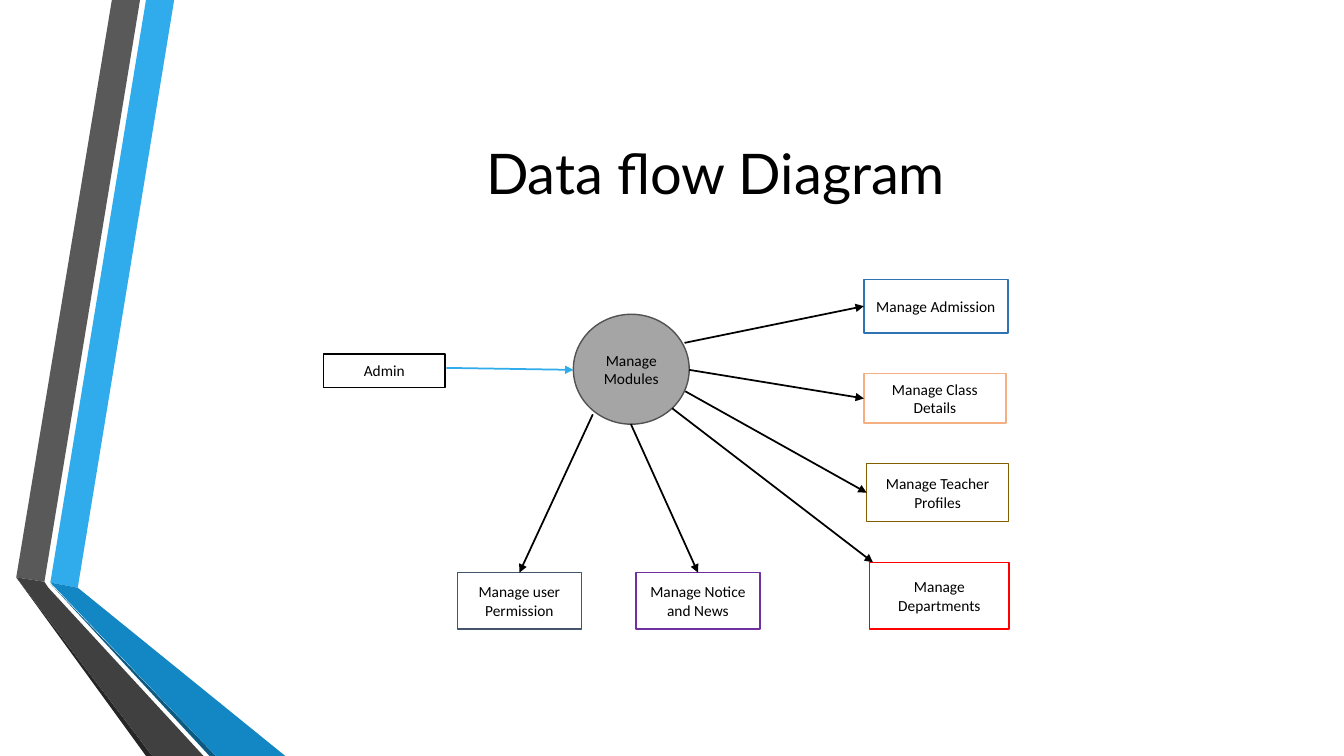
"""Build a data flow diagram slide with a folded ribbon on the left."""
from lxml.etree import SubElement
from pptx import Presentation
from pptx.dml.color import RGBColor
from pptx.enum.shapes import MSO_CONNECTOR, MSO_SHAPE
from pptx.enum.text import MSO_ANCHOR, PP_ALIGN
from pptx.oxml.ns import qn
from pptx.util import Cm, Pt

BLACK = RGBColor(0x00, 0x00, 0x00)
WHITE = RGBColor(0xFF, 0xFF, 0xFF)
SKY = RGBColor(0x30, 0xAC, 0xEC)
OCEAN = RGBColor(0x12, 0x87, 0xC3)
DEEP_BLUE = RGBColor(0x0C, 0x5A, 0x82)
GREY = RGBColor(0x59, 0x59, 0x59)
DARK_GREY = RGBColor(0x40, 0x40, 0x40)
CHARCOAL = RGBColor(0x26, 0x26, 0x26)
SILVER = RGBColor(0xA5, 0xA5, 0xA5)
RIM = RGBColor(0x52, 0x52, 0x52)
SLATE = RGBColor(0x44, 0x54, 0x6A)
PURPLE = RGBColor(0x70, 0x30, 0xA0)
PEACH = RGBColor(0xF4, 0xB0, 0x83)
OLIVE = RGBColor(0x7F, 0x5F, 0x00)
RED = RGBColor(0xFF, 0x00, 0x00)
BLUE = RGBColor(0x2E, 0x74, 0xB5)

TOP, LEFT = 0, 1
FOLD, BOTTOM = 14.55, 19.05


class Diagram:
    """Hold the style and the slide being drawn."""

    title_font, title_size = "Lato", Pt(40)
    label_font, label_size = "Calibri", Pt(11)
    outline, arrow_width = Pt(1), Pt(1.25)

    def __init__(self, slide):
        self.slide = slide

    def label(self, frame, text, font, size):
        frame.text = text
        frame.word_wrap = True
        frame.vertical_anchor = MSO_ANCHOR.MIDDLE
        for paragraph in frame.paragraphs:
            paragraph.alignment = PP_ALIGN.CENTER
            for run in paragraph.runs:
                run.font.name = font
                run.font.size = size
                run.font.color.rgb = BLACK

    def title(self, text, left, top, width, height):
        heading = self.slide.shapes.title
        heading.left, heading.top = Cm(left), Cm(top)
        heading.width, heading.height = Cm(width), Cm(height)
        self.label(heading.text_frame, text, self.title_font, self.title_size)

    def ribbon(self, color, *corners):
        points = [(Cm(x), Cm(y)) for x, y in corners]
        builder = self.slide.shapes.build_freeform(*points[0])
        builder.add_line_segments(points[1:], close=True)
        band = builder.convert_to_shape()
        band.shadow.inherit = False
        band.fill.solid()
        band.fill.fore_color.rgb = color
        band.line.fill.background()

    def node(self, text, left, top, width, height, border,
             fill=WHITE, kind=MSO_SHAPE.RECTANGLE):
        box = self.slide.shapes.add_shape(
            kind, Cm(left), Cm(top), Cm(width), Cm(height))
        box.shadow.inherit = False
        box.fill.solid()
        box.fill.fore_color.rgb = fill
        box.line.color.rgb = border
        box.line.width = self.outline
        self.label(box.text_frame, text, self.label_font, self.label_size)
        return box

    def arrow(self, start, end, color=BLACK, target=None, side=LEFT):
        flow = self.slide.shapes.add_connector(
            MSO_CONNECTOR.STRAIGHT, *map(Cm, start + end))
        if target is not None:
            flow.end_connect(target, side)
        flow.line.color.rgb = color
        flow.line.width = self.arrow_width
        properties = flow._element.spPr
        SubElement(properties.find(qn("a:ln")), qn("a:tailEnd"), type="triangle")
        SubElement(properties, qn("a:effectLst"))


deck = Presentation()
deck.slide_width, deck.slide_height = Cm(33.87), Cm(BOTTOM)
diagram = Diagram(deck.slides.add_slide(deck.slide_layouts[5]))

diagram.ribbon(SKY, (1.27, 14.68), (1.96, 14.81), (4.39, 0), (3.68, 0))
diagram.ribbon(GREY, (3.53, 0), (2.82, 0), (0.41, FOLD), (1.12, 14.66))
diagram.ribbon(CHARCOAL, (0.41, FOLD), (3.68, BOTTOM), (3.84, BOTTOM))
diagram.ribbon(DEEP_BLUE, (1.27, 14.71), (5.28, BOTTOM), (5.44, BOTTOM))
diagram.ribbon(OCEAN, (1.27, 14.68), (5.44, BOTTOM), (7.19, BOTTOM), (1.96, 14.81))
diagram.ribbon(DARK_GREY, (5.13, BOTTOM), (1.22, 14.81), (1.12, 14.66),
               (0.41, FOLD), (3.84, BOTTOM))

diagram.title("Data flow Diagram", 4.11, 1.9, 27.84, 4.87)

diagram.node("Manage Modules", 14.45, 7.92, 2.92, 2.77, RIM, SILVER, MSO_SHAPE.OVAL)
diagram.node("Admin", 8.15, 8.92, 3.07, 0.84, BLACK)
diagram.arrow((11.25, 9.27), (14.45, 9.32), SKY)

modules = [
    ("Manage Admission", 21.77, 7.04, 3.63, 1.35, BLUE, (17.25, 8.64), LEFT),
    ("Manage Class Details", 21.77, 9.42, 3.58, 1.24, PEACH, (17.37, 9.32), LEFT),
    ("Manage Teacher Profiles", 21.84, 11.68, 3.58, 1.47, OLIVE, (17.27, 9.86), LEFT),
    ("Manage user Permission", 11.53, 14.43, 3.12, 1.42, SLATE, (14.94, 10.44), TOP),
    ("Manage Notice and News", 16.03, 14.43, 3.12, 1.42, PURPLE, (15.9, 10.69), TOP),
]
for name, left, top, width, height, border, origin, side in modules:
    module = diagram.node(name, left, top, width, height, border)
    diagram.arrow(origin, (left, top), target=module, side=side)

diagram.node("Manage Departments", 21.92, 14.17, 3.51, 1.68, RED)
diagram.arrow((16.94, 10.29), (22, 14.17))

deck.save("out.pptx")
